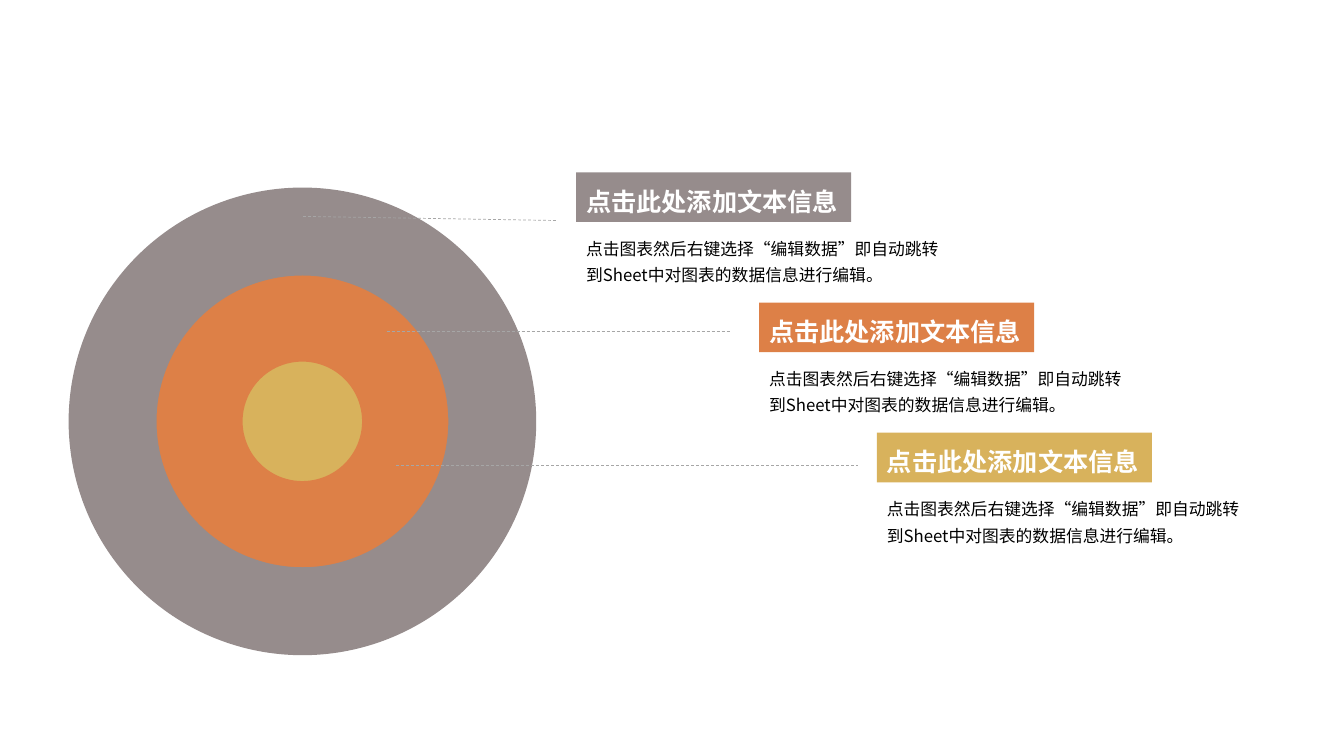
import pptx
import pptx.util
import pptx.dml.color
import pptx.enum.dml
import pptx.enum.lang
import pptx.enum.shapes
import pptx.enum.text
import lxml.etree

Pt = pptx.util.Pt
SHAPES = pptx.enum.shapes.MSO_SHAPE
FONT = "Noto Sans CJK SC"
COLORS = {
    "gray": "968C8C", "orange": "DD8047", "gold": "D8B25C",
    "line": "A6A6A6", "white": "FFFFFF", "black": "000000",
}
TITLE = "点击此处添加文本信息"
BODY = "点击图表然后右键选择“编辑数据”即自动跳转到Sheet中对图表的数据信息进行编辑。"

presentation = pptx.Presentation()
presentation.slide_width, presentation.slide_height = Pt(960), Pt(540)
slide = presentation.slides.add_slide(presentation.slide_layouts[6])


def color(name):
    return pptx.dml.color.RGBColor.from_string(COLORS[name])


def add_block(text, left, top, width, height, kind=SHAPES.RECTANGLE, fill=None,
              size=12, ink="black", bold=False, wrap=True):
    """Add a filled shape, or a text box when there is no fill."""
    box = [Pt(value) for value in (left, top, width, height)]
    if fill:
        shape = slide.shapes.add_shape(kind, *box)
        shape.shadow.inherit = False
        shape.fill.solid()
        shape.fill.fore_color.rgb = color(fill)
        shape.line.fill.background()
    else:
        shape = slide.shapes.add_textbox(*box)
    if text:
        frame = shape.text_frame
        frame.word_wrap = wrap
        frame.auto_size = pptx.enum.text.MSO_AUTO_SIZE.SHAPE_TO_FIT_TEXT
        frame.vertical_anchor = pptx.enum.text.MSO_ANCHOR.TOP
        paragraph = frame.paragraphs[0]
        paragraph.alignment = pptx.enum.text.PP_ALIGN.LEFT
        paragraph.line_spacing = 1.3
        run = paragraph.add_run()
        run.text = text
        font = run.font
        font.name, font.size, font.bold = FONT, Pt(size), bold
        font.color.rgb = color(ink)
        font.language_id = pptx.enum.lang.MSO_LANGUAGE_ID.SIMPLIFIED_CHINESE
        # The East Asian typeface follows the Latin one
        latin = run._r.get_or_add_rPr().find(pptx.oxml.ns.qn("a:latin"))
        east_asian = lxml.etree.Element(pptx.oxml.ns.qn("a:ea"), typeface=FONT)
        latin.addnext(east_asian)
    return shape


# Concentric target, from the centre outwards
center_x, center_y = 216, 301
for diameter, kind, ring_width, fill in (
    (95.6, SHAPES.OVAL, None, "gold"),
    (228.2, SHAPES.DONUT, 0.313, "orange"),
    (334, SHAPES.DONUT, 0.188, "gray"),
):
    ring = add_block(None, center_x - diameter / 2, center_y - diameter / 2,
                     diameter, diameter, kind=kind, fill=fill)
    if ring_width:
        ring.adjustments[0] = ring_width

# Dashed leader lines
for start_x, start_y, end_x, end_y in (
    (283, 332.5, 613.2, 332.5),
    (276.2, 236.7, 522, 236.7),
    (216.5, 154.6, 397.5, 157.5),
):
    leader = slide.shapes.add_connector(
        pptx.enum.shapes.MSO_CONNECTOR.STRAIGHT,
        Pt(start_x), Pt(start_y), Pt(end_x), Pt(end_y))
    leader.line.color.rgb = color("line")
    leader.line.width = Pt(0.5)
    leader.line.dash_style = pptx.enum.dml.MSO_LINE.DASH
    lxml.etree.SubElement(leader._element.spPr, pptx.oxml.ns.qn("a:effectLst"))

# Labels, stepping down to the right
for index, (left, fill) in enumerate(((411.6, "gray"), (542.3, "orange"), (626.4, "gold"))):
    top = 123.1 + 93 * index
    add_block(BODY, left, top + 39.6, 266.4, 43.2)
    add_block(TITLE, left, top, 196.4, 35.5, fill=fill,
              size=18, ink="white", bold=True, wrap=False)

presentation.save("out.pptx")
